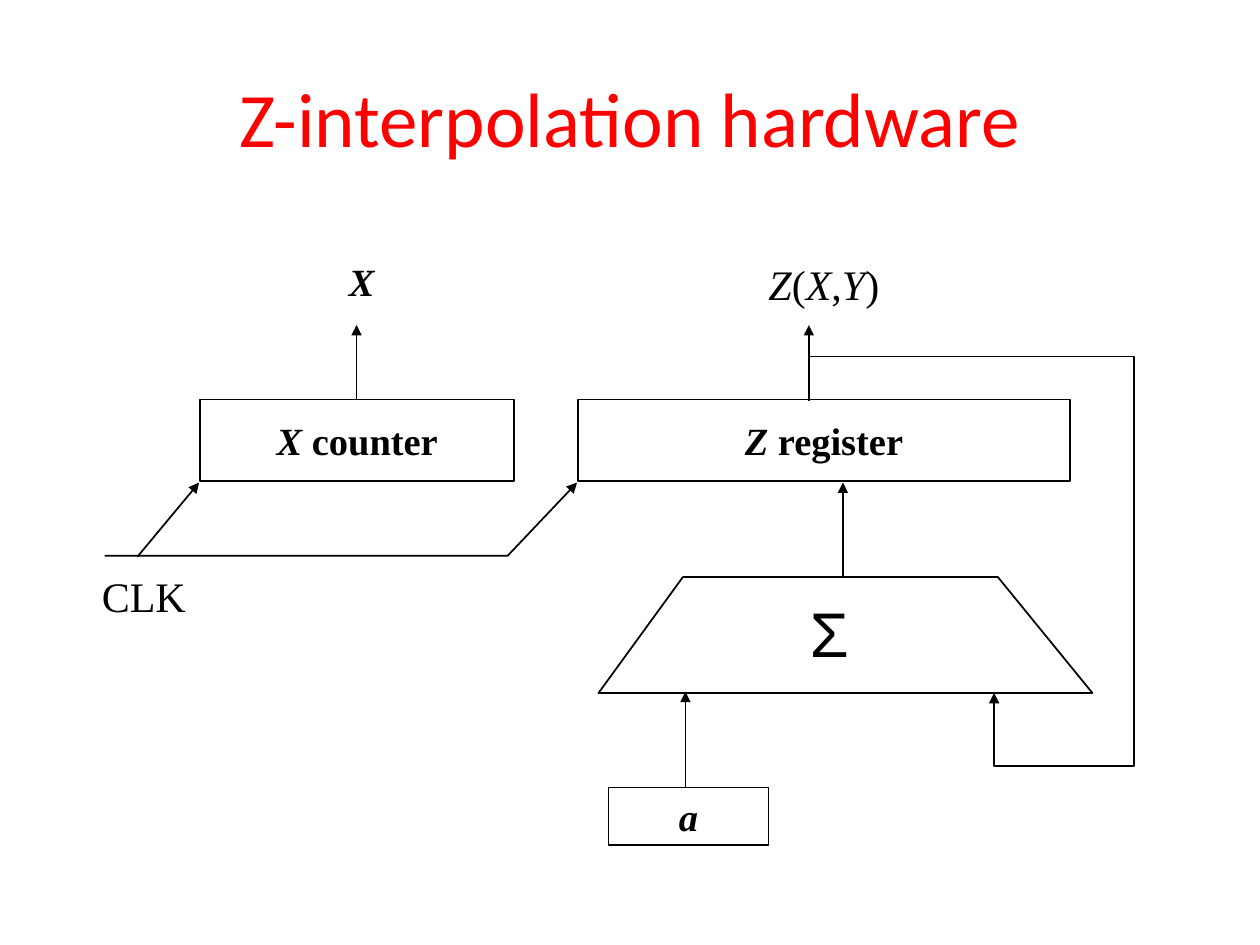
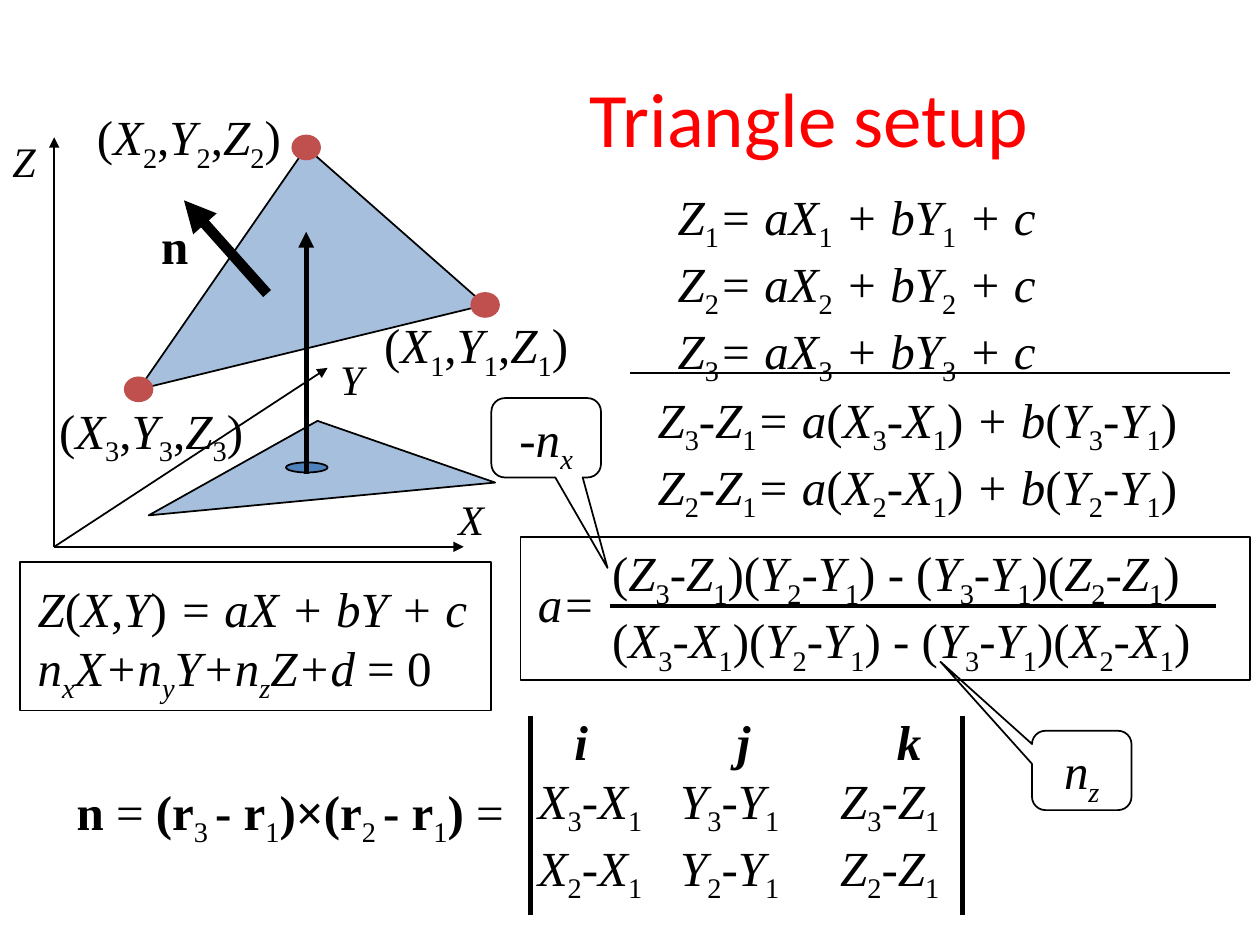
import dataclasses
import itertools

import lxml.etree
import pptx
import pptx.dml.color
import pptx.enum.shapes
import pptx.enum.text
import pptx.oxml.ns
import pptx.util


@dataclasses.dataclass(frozen=True)
class Theme:
    ink: str = "000000"
    title: str = "FF0000"
    face: str = "4F81BD"
    vertex: str = "C0504D"
    serif: str = "Times New Roman"
    sans: str = "Calibri"
    symbol: str = "Arial"
    title_size: int = 44
    sum_size: int = 36
    formula_size: int = 28
    label_size: int = 24
    box_size: int = 22
    thin: float = 1
    bar: float = 2.25
    heavy: float = 3
    normal: float = 6
    slanted: str = "XYZabcdijknxyz+=-"


theme = Theme()
qn = pptx.oxml.ns.qn
rgb = pptx.dml.color.RGBColor.from_string
forms = pptx.enum.shapes.MSO_SHAPE
anchors = pptx.enum.text.MSO_ANCHOR
aligns = pptx.enum.text.PP_ALIGN

deck = pptx.Presentation()
deck.slide_width = pptx.util.Inches(10)
deck.slide_height = pptx.util.Inches(7.5)
columns, rows = 100, 75
column = deck.slide_width / columns
row = deck.slide_height / rows


# "*" opens a bold line, "_" lowers the next character, "~" keeps it plain.
def write(frame, text, size, font=theme.serif, color=theme.ink,
          slanted=theme.slanted, align=aligns.LEFT, tabs=()):
    for number, line in enumerate(text.split("\n")):
        para = frame.paragraphs[0] if number == 0 else frame.add_paragraph()
        para.alignment = align
        para.font.name = font
        para.font.size = pptx.util.Pt(size)
        para.font.color.rgb = rgb(color)
        para.font.bold = line.startswith("*")
        if tabs:
            stops = lxml.etree.Element(qn("a:tabLst"))
            for stop in tabs[min(number, 1)]:
                lxml.etree.SubElement(stops, qn("a:tab"), pos=str(round(stop * column)), algn="l")
            para._p.pPr.insert(0, stops)
        pieces, mark = [], ""
        for char in line.lstrip("*"):
            if char in "_~":
                mark = char
                continue
            pieces.append((char, (mark, char in slanted and mark != "~")))
            mark = ""
        for (mark, italic), group in itertools.groupby(pieces, lambda piece: piece[1]):
            span = para.add_run()
            span.text = "".join(char for char, style in group)
            span.font.italic = italic
            if mark:
                span.font.bold = False
            if mark == "_":
                span._r.get_or_add_rPr().set("baseline", "-25000")


def stroke(shape, weight=theme.thin, arrow=False, color=theme.ink):
    shape.line.color.rgb = rgb(color)
    shape.line.width = pptx.util.Pt(weight)
    if arrow:
        lxml.etree.SubElement(shape.line._get_or_add_ln(), qn("a:tailEnd"), type="triangle")
    lxml.etree.SubElement(shape._element.spPr, qn("a:effectLst"))


vertices = [(38.5, 24.2, 1), (24.3, 11.7, 2), (11, 30.9, 3)]
dot_width, dot_height = 2.2, 1.9
vertex_labels = [(29.5, 24.5), (6.7, 8), (3.7, 31.3)]
origin = (4.3, 43.4)

hardware = {
    "title": ("Z-interpolation hardware", 5, 90),
    "faces": [],
    "wires": [
        ([(54.2, 45.8), (47.5, 55), (86.7, 55), (79.2, 45.8), (54.2, 45.8)], False),
        ([(64.2, 31.7), (64.2, 28.3), (90, 28.3), (90, 60.8), (78.9, 60.8), (78.9, 55)], True),
        ([(8.3, 44.1), (40.3, 44.1), (45.8, 38.3)], True),
    ],
    "boxes": [
        (15.9, 31.7, 24.9, 6.5, "*X counter"),
        (45.9, 31.7, 39, 6.5, "*Z register"),
        (48.3, 62.5, 12.7, 4.6, "*a"),
    ],
    "dots": [],
    "callouts": [],
    "lines": [
        ((28.3, 31.7), (28.3, 25.8), theme.thin, True),
        ((64.2, 31.8), (64.2, 25.8), theme.thin, True),
        ((66.9, 45.9), (66.9, 38.3), theme.thin, True),
        ((54.4, 62.5), (54.4, 54.9), theme.thin, True),
        ((10.9, 44.2), (15.8, 38.3), theme.thin, True),
    ],
    "texts": [
        (60, 20, 10.8, 5, "Z(X,Y)", theme.label_size, {}),
        (26.7, 20, 4, 4.6, "*X", theme.box_size, {}),
        (63.3, 46.7, 5, 7, "Σ", theme.sum_size, {"font": theme.symbol}),
        (7.1, 44.8, 8.7, 5, "CLK", theme.label_size, {}),
    ],
}

setup = {
    "title": ("Triangle setup", 33.5, 61.5),
    "faces": [
        [(x, y) for x, y, index in vertices],
        [(11.8, 40.9), (39.3, 38.3), (25.2, 33.4)],
    ],
    "wires": [],
    "boxes": [(41.3, 42.6, 57.9, 11.4, ""), (1.6, 44.6, 37.4, 11.8, "")],
    "dots": [(22.7, 36.7, 3.3, 0.8, theme.face, theme.ink)] + [
        (x - dot_width / 2, y - dot_height / 2, dot_width, dot_height, theme.vertex, theme.vertex)
        for x, y, index in vertices
    ],
    "callouts": [
        (81.9, 58, 7.9, 6.3, "n_z", (-1.42, -1.37, 0.17)),
        (39, 31.6, 8.7, 6.3, "-n_x", (0.56, 1.64, 0.17)),
    ],
    "lines": [
        (origin, (36.8, 43.4), theme.thin, True),
        (origin, (26, 29.2), theme.thin, True),
        (origin, (4.3, 10.9), theme.thin, True),
        ((24.3, 37.6), (24.3, 18.4), theme.heavy, True),
        ((21.2, 23.3), (14.6, 15.9), theme.normal, True),
        ((50, 29.6), (97.6, 29.6), theme.thin, False),
        ((48.4, 48.1), (96.5, 48.1), theme.bar, False),
        ((42.1, 56.8), (42.1, 72.6), theme.heavy, False),
        ((76.4, 56.8), (76.4, 72.6), theme.heavy, False),
    ],
    "texts": [
        (35.4, 38.7, 4, 5, "X", theme.label_size, {}),
        (26, 27.6, 3.9, 5, "Y", theme.label_size, {}),
        (0, 10.3, 3.9, 5, "Z", theme.label_size, {}),
        (2, 45.4, 36.2, 10.3, "Z(X,Y) = aX + bY + c\nn_xX+n_yY+n_zZ+d ~= 0",
         theme.formula_size, {}),
        (51.2, 30.4, 45.5, 10.3,
         "\n".join(f"Z_{i}-Z_1= a(X_{i}-X_1) + b(Y_{i}-Y_1)" for i in (3, 2)),
         theme.formula_size, {}),
        (47.6, 42.6, 50.8, 10.3,
         "\n".join(f"({axis}_3-{axis}_1)(Y_2-Y_1) - (Y_3-Y_1)({axis}_2-{axis}_1)" for axis in "ZX"),
         theme.formula_size, {}),
        (41.7, 45, 6.6, 5.7, "a=", theme.formula_size, {}),
        (52.8, 14.3, 31, 15,
         "\n".join(f"Z_{i}= aX_{i} + bY_{i} + c" for i in (1, 2, 3)),
         theme.formula_size, {}),
        (41.7, 56, 35.1, 15,
         "\n".join(["*\ti\tj\tk"] + [
             "\t".join(f"{axis}_{i}-{axis}_1" for axis in "XYZ") for i in (3, 2)]),
         theme.formula_size, {"tabs": ((2.9, 15.8, 28.5), (11.3, 24))}),
        (5.1, 61.5, 36.8, 5.7, "*n ~= (r_3_ - r_1)×(r_2_ - r_1) ~=",
         theme.formula_size, {"slanted": ""}),
        (11.8, 16.6, 4.2, 5.7, "*n", theme.formula_size, {"slanted": ""}),
    ] + [
        (x, y, 17.2, 5.7, f"(X_{i},Y_{i},Z_{i})", theme.formula_size, {})
        for (x, y), (_, _, i) in zip(vertex_labels, vertices)
    ],
}

for content in (hardware, setup):
    page = deck.slides.add_slide(deck.slide_layouts[6])

    outlines = [(points, False, True) for points in content["faces"]]
    outlines += [(points, arrow, False) for points, arrow in content["wires"]]
    for points, arrow, filled in outlines:
        corners = [(x * column, y * row) for x, y in points]
        builder = page.shapes.build_freeform(*corners[0])
        builder.add_line_segments(corners[1:], close=filled)
        outline = builder.convert_to_shape()
        if filled:
            outline.fill.solid()
            outline.fill.fore_color.rgb = rgb(theme.face)
            tint = outline._element.spPr.find(qn("a:solidFill")).find(qn("a:srgbClr"))
            lxml.etree.SubElement(tint, qn("a:alpha"), val="50000")
        else:
            outline.fill.background()
        stroke(outline, arrow=arrow)

    for left, top, width, height, fill, edge in content["dots"]:
        dot = page.shapes.add_shape(forms.OVAL, left * column, top * row, width * column, height * row)
        dot.fill.solid()
        dot.fill.fore_color.rgb = rgb(fill)
        stroke(dot, color=edge)

    for start, end, weight, arrow in content["lines"]:
        line = page.shapes.add_connector(
            pptx.enum.shapes.MSO_CONNECTOR.STRAIGHT,
            round(start[0] * column), round(start[1] * row),
            round(end[0] * column), round(end[1] * row))
        stroke(line, weight, arrow)

    for left, top, width, height, label in content["boxes"]:
        box = page.shapes.add_shape(
            forms.RECTANGLE, left * column, top * row, width * column, height * row)
        box.fill.background()
        stroke(box)
        if label:
            box.text_frame.word_wrap = False
            write(box.text_frame, label, theme.box_size, slanted="XZa", align=aligns.CENTER)

    for left, top, width, height, label, adjustments in content["callouts"]:
        callout = page.shapes.add_shape(
            forms.ROUNDED_RECTANGULAR_CALLOUT,
            left * column, top * row, width * column, height * row)
        for index, value in enumerate(adjustments):
            callout.adjustments[index] = value
        callout.fill.background()
        stroke(callout)
        callout.text_frame.vertical_anchor = anchors.TOP
        write(callout.text_frame, label, theme.formula_size, align=aligns.CENTER)

    for left, top, width, height, text, size, options in content["texts"]:
        box = page.shapes.add_textbox(left * column, top * row, width * column, height * row)
        box.text_frame.word_wrap = False
        box.text_frame.auto_size = pptx.enum.text.MSO_AUTO_SIZE.SHAPE_TO_FIT_TEXT
        write(box.text_frame, text, size, **options)

    text, left, width = content["title"]
    title = page.shapes.add_textbox(left * column, 3 * row, width * column, 12.5 * row)
    title.text_frame.word_wrap = True
    title.text_frame.vertical_anchor = anchors.MIDDLE
    write(title.text_frame, text, theme.title_size, theme.sans, theme.title,
          slanted="", align=aligns.CENTER)

deck.save("out.pptx")
